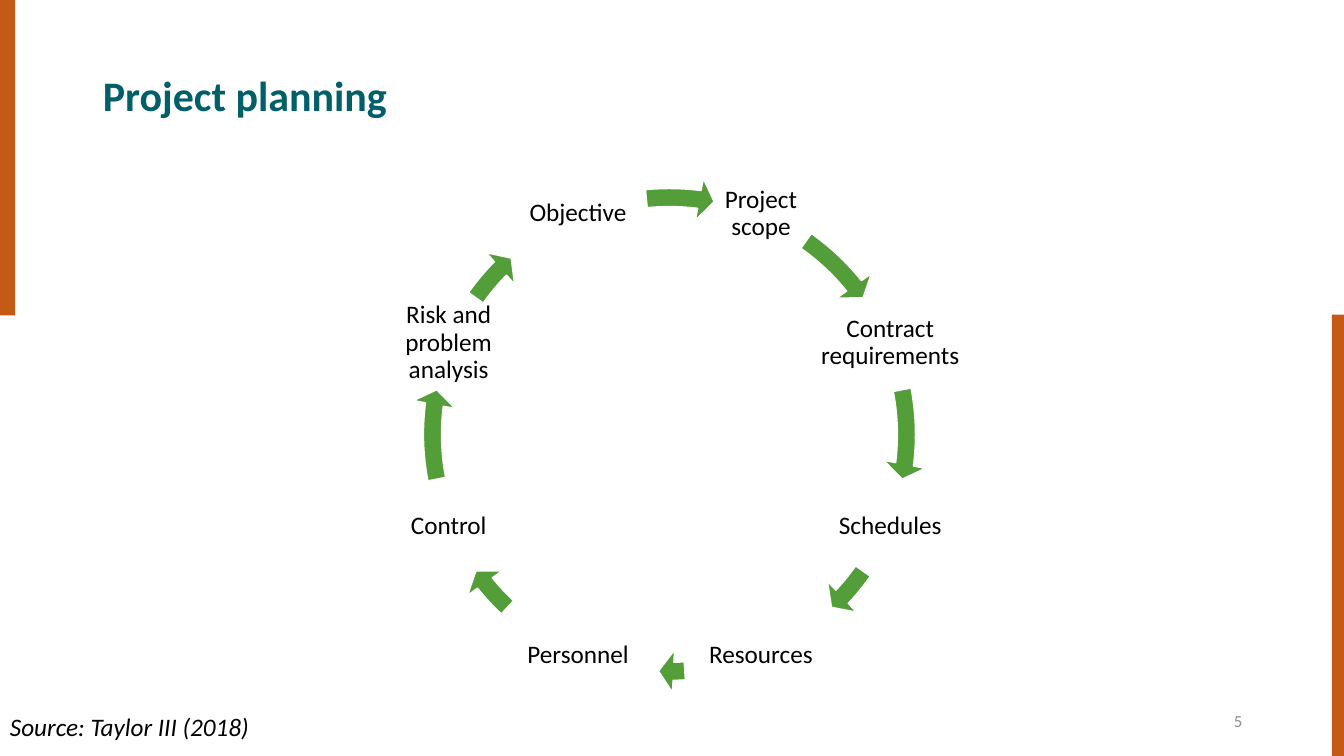
from math import cos, radians, sin

from pptx import Presentation
from pptx.dml.color import RGBColor
from pptx.enum.shapes import MSO_SHAPE
from pptx.enum.text import MSO_ANCHOR, PP_ALIGN
from pptx.util import Inches, Pt

RECTANGLE, CIRCULAR_ARROW = MSO_SHAPE.RECTANGLE, MSO_SHAPE.CIRCULAR_ARROW
MIDDLE, TOP = MSO_ANCHOR.MIDDLE, MSO_ANCHOR.TOP
LEFT, CENTER, RIGHT = PP_ALIGN.LEFT, PP_ALIGN.CENTER, PP_ALIGN.RIGHT

ORANGE = RGBColor(0xC4, 0x5A, 0x15)
TEAL = RGBColor(0x00, 0x5F, 0x69)
GREEN = RGBColor(0x54, 0x9E, 0x39)
GRAY = RGBColor(0x8C, 0x8C, 0x8C)
BLACK = RGBColor(0, 0, 0)
WHITE = RGBColor(0xFF, 0xFF, 0xFF)
FONT = "Calibri"

# Content
TITLE = "Project planning"
SOURCE = "Source: Taylor III (2018)"
PAGE = "5"
# Clockwise: label, label width, start and end angle of the arrow that follows
STEPS = [
    ("Project scope", 0.92, 305.23, 321.16),
    ("Contract requirements", 1.74, 349.13, 7.25),
    ("Schedules", 1.37, 35.23, 43.25),
    ("Resources", 1.5, 86.3, 89.03),
    ("Personnel", 1.59, 133.14, 141.16),
    ("Control", 0.92, 169.13, 187.25),
    ("Risk and problem analysis", 1.64, 215.23, 224.48),
    ("Objective", 1.35, 264.41, 277.25),
]
BARS = [(0, 0, 0.15, 3.13), (13.21, 3.12, 0.12, 4.38)]

# Cycle geometry
CENTER_X, CENTER_Y = 6.64, 4.31
LABEL_RADIUS, LABEL_HEIGHT = 2.37, 0.92
ARROW_SIZE = 5.12
FIRST_ANGLE = -67.5
ANGLE_UNIT = 0.6  # adjustment value of one degree
THICKNESS, HEAD_WIDTH, HEAD_ANGLE = 0.035, 0.041, 3.62


def inches(*lengths):
    return [Inches(length) for length in lengths]


def format_text(tf, text, size, color, align=LEFT, anchor=TOP):
    tf.word_wrap = True
    tf.vertical_anchor = anchor
    p = tf.paragraphs[0]
    p.text = text
    p.alignment = align
    p.font.name, p.font.size = FONT, Pt(size)
    p.font.color.rgb = color
    return p


def add_filled(s, kind, box, color):
    sp = s.shapes.add_shape(kind, *inches(*box))
    sp.shadow.inherit = False
    sp.fill.solid()
    sp.fill.fore_color.rgb = color
    sp.line.fill.background()
    return sp


def add_label(s, text, width, angle):
    x = CENTER_X + LABEL_RADIUS * cos(radians(angle))
    y = CENTER_Y + LABEL_RADIUS * sin(radians(angle))
    box = (x - width / 2, y - LABEL_HEIGHT / 2, width, LABEL_HEIGHT)
    tf = s.shapes.add_textbox(*inches(*box)).text_frame
    tf.margin_left = tf.margin_right = tf.margin_top = tf.margin_bottom = Inches(0.03)
    format_text(tf, text, 18, BLACK, CENTER, MIDDLE).line_spacing = 0.9


def add_arrow(s, start, end):
    half = ARROW_SIZE / 2
    box = (CENTER_X - half, CENTER_Y - half, ARROW_SIZE, ARROW_SIZE)
    sp = add_filled(s, CIRCULAR_ARROW, box, GREEN)
    sp.line.color.rgb = WHITE
    sp.line.width = Pt(1)
    angles = [angle * ANGLE_UNIT for angle in (HEAD_ANGLE, end, start)]
    for i, value in enumerate([THICKNESS, *angles, HEAD_WIDTH]):
        sp.adjustments[i] = value


def main():
    prs = Presentation()
    prs.slide_width, prs.slide_height = inches(13.33, 7.5)
    s = prs.slides.add_slide(prs.slide_layouts[5])

    # Side bars
    for bar in BARS:
        add_filled(s, RECTANGLE, bar, ORANGE)

    # Title
    title = s.shapes.title
    title.left, title.top, title.width, title.height = inches(0.92, 0.4, 11.5, 1.15)
    p = format_text(title.text_frame, TITLE, 30, TEAL, anchor=MIDDLE)
    p.font.bold = True
    p.line_spacing = 0.9

    # Planning cycle
    for i, (text, width, start, end) in enumerate(STEPS):
        add_label(s, text, width, FIRST_ANGLE + i * 360 / len(STEPS))
        add_arrow(s, start, end)

    # Page number and source
    page = s.shapes.add_textbox(*inches(9.42, 6.95, 3, 0.4))
    format_text(page.text_frame, PAGE, 12, GRAY, RIGHT, MIDDLE)
    source = s.shapes.add_textbox(*inches(0, 7.01, 3.81, 0.4))
    format_text(source.text_frame, SOURCE, 18, BLACK).font.italic = True

    prs.save("out.pptx")


if __name__ == "__main__":
    main()
